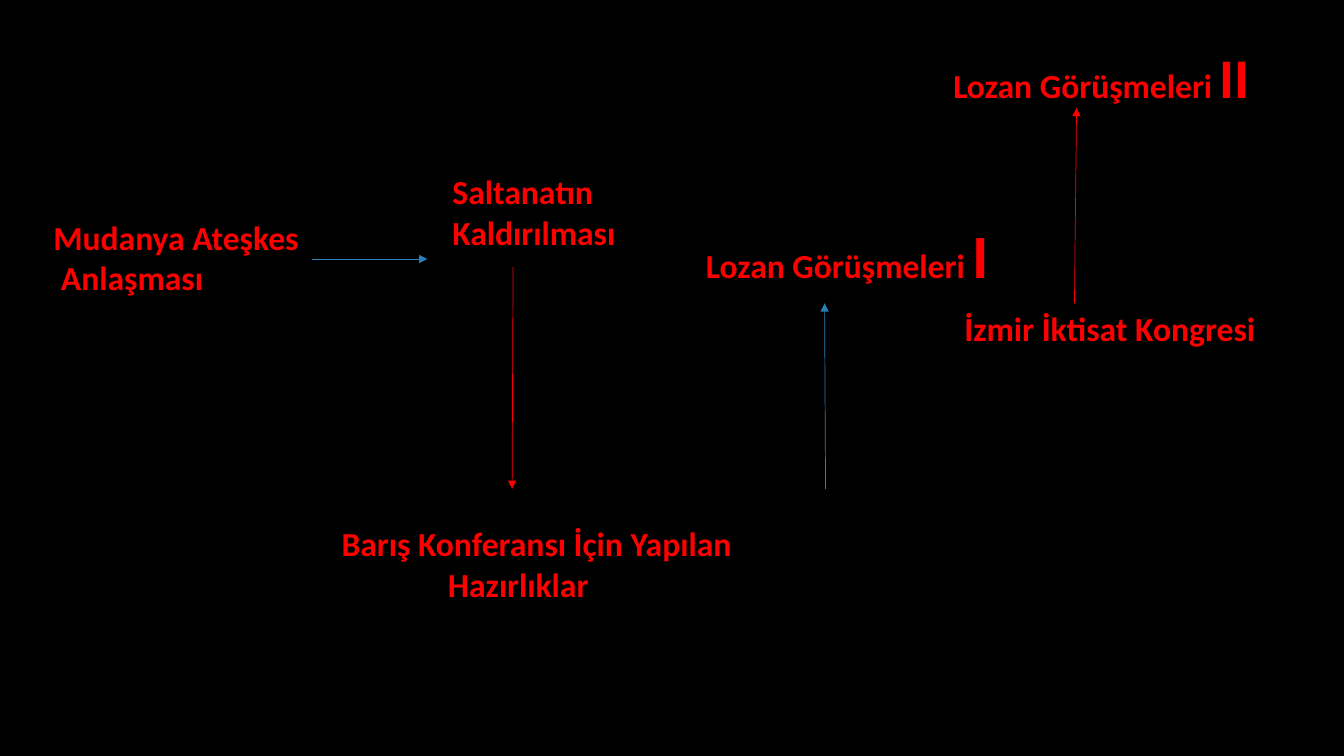
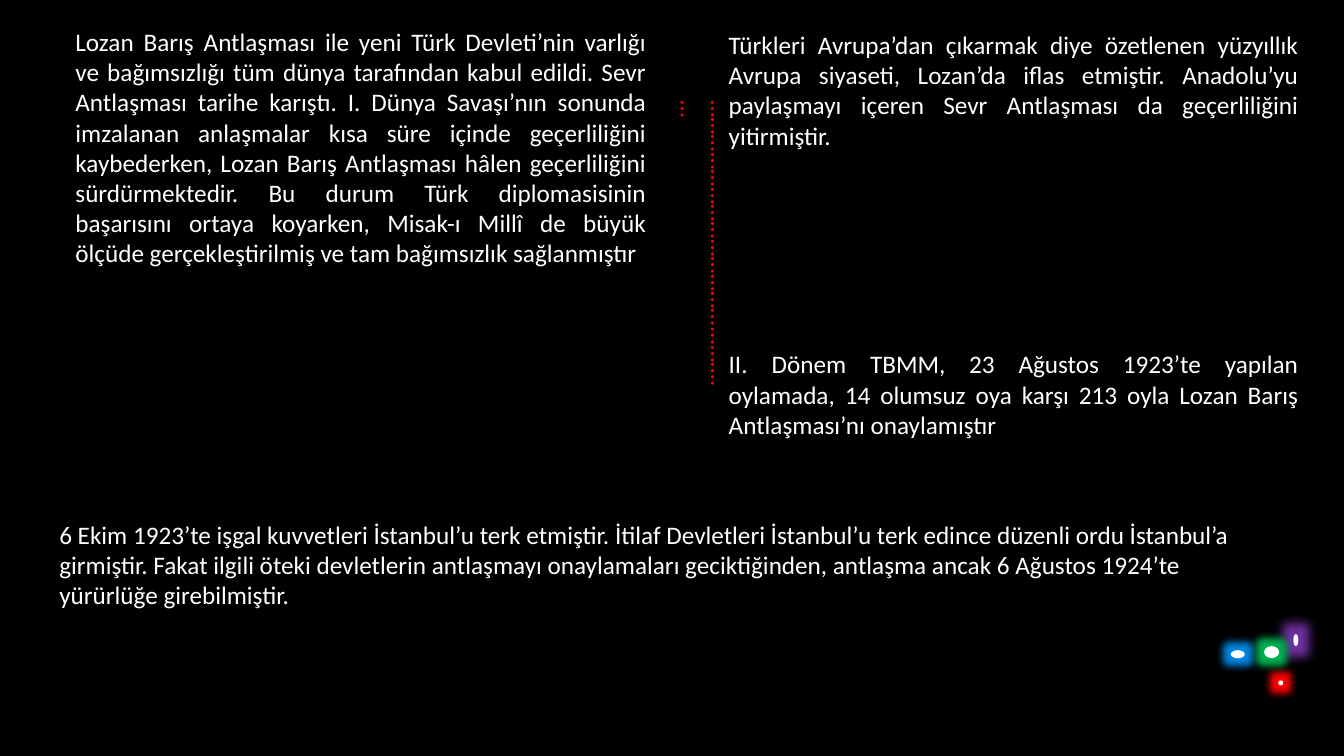
"""Build two slides on the road to the Lausanne treaty and its results."""
from lxml import etree
from pptx import Presentation, util as u
from pptx.dml.color import RGBColor
from pptx.enum import shapes, text
from pptx.oxml import ns

BLACK = RGBColor(0x00, 0x00, 0x00)
WHITE = RGBColor(0xFF, 0xFF, 0xFF)
RED = RGBColor(0xFF, 0x00, 0x00)
BLUE = RGBColor(0x29, 0x80, 0xB9)
GLOW_BLUE = RGBColor(0x00, 0x84, 0xE0)
GLOW_PURPLE = RGBColor(0x70, 0x30, 0xA0)
GLOW_GREEN = RGBColor(0x00, 0xB0, 0x50)
FONT = "Calibri"
LABEL_SIZE = 24
BODY_SIZE = 18

EVENTS = [
    ((31, 151.2, 196, 65.5), [(0, [("Mudanya Ateşkes", LABEL_SIZE)]),
                              (5.5, [("Anlaşması", LABEL_SIZE)])]),
    ((236.9, 370.1, 302, 65.5), [(0, [("Barış Konferansı İçin Yapılan", LABEL_SIZE)]),
                                 (76, [("Hazırlıklar", LABEL_SIZE)])]),
    ((316.1, 118.8, 144, 65.5), [(0, [("Saltanatın", LABEL_SIZE)]),
                                 (0, [("Kaldırılması", LABEL_SIZE)])]),
    ((681.8, 216.7, 236, 36), [(0, [("İzmir İktisat Kongresi", LABEL_SIZE)])]),
    ((497.2, 151.2, 230, 60.5), [(0, [("Lozan Görüşmeleri ", LABEL_SIZE), ("I", 44)])]),
    ((673.9, 26.6, 244, 55.5), [(0, [("Lozan Görüşmeleri ", LABEL_SIZE), ("II", 40)])]),
]

ARROWS = [
    ((223.2, 185), (305.3, 185), BLUE),
    ((366.5, 190.8), (365.8, 349.2), RED),
    ((589.7, 349.2), (589, 216.7), BLUE),
    ((767.5, 216.7), (769, 77), RED),
]

RESULTS = [
    ((46.8, 15.1, 421.9, 181.4), text.PP_ALIGN.JUSTIFY,
     "Lozan Barış Antlaşması ile yeni Türk Devleti’nin varlığı ve bağımsızlığı tüm dünya "
     "tarafından kabul edildi. Sevr Antlaşması tarihe karıştı. I. Dünya Savaşı’nın sonunda "
     "imzalanan anlaşmalar kısa süre içinde geçerliliğini kaybederken, Lozan Barış Antlaşması "
     "hâlen geçerliliğini sürdürmektedir. Bu durum Türk diplomasisinin başarısını ortaya "
     "koyarken, Misak-ı Millî de büyük ölçüde gerçekleştirilmiş ve tam bağımsızlık sağlanmıştır"),
    ((35.3, 367.2, 887.8, 72.7), text.PP_ALIGN.LEFT,
     "6 Ekim 1923’te işgal kuvvetleri İstanbul’u terk etmiştir. İtilaf Devletleri İstanbul’u "
     "terk edince düzenli ordu İstanbul’a girmiştir. Fakat ilgili öteki devletlerin antlaşmayı "
     "onaylamaları geciktiğinden, antlaşma ancak 6 Ağustos 1924’te yürürlüğe girebilmiştir."),
    ((513.4, 17.3, 421.2, 94.3), text.PP_ALIGN.JUSTIFY,
     "Türkleri Avrupa’dan çıkarmak diye özetlenen yüzyıllık Avrupa siyaseti, Lozan’da iflas "
     "etmiştir. Anadolu’yu paylaşmayı içeren Sevr Antlaşması da geçerliliğini yitirmiştir."),
    ((513.4, 245.5, 421.2, 72.7), text.PP_ALIGN.JUSTIFY,
     "II. Dönem TBMM, 23 Ağustos 1923’te yapılan oylamada, 14 olumsuz oya karşı 213 oyla "
     "Lozan Barış Antlaşması’nı onaylamıştır"),
]

LIGHTS = [
    ((913, 486, 3.6, 3.6), RED, 11),
    ((879.1, 464.4, 10.1, 5.8), GLOW_BLUE, 11),
    ((923.8, 452.9, 3.6, 8.6), GLOW_PURPLE, 15),
    ((902.9, 461.5, 10.8, 8.6), GLOW_GREEN, 11),
]


def in_points(lengths):
    """Turn plain numbers into point lengths."""
    return [u.Pt(length) for length in lengths]


def add_text(slide, place, paragraphs, color, bold=False, align=text.PP_ALIGN.LEFT):
    """Add a text box from (indent, [(wording, size)]) paragraphs and return it."""
    box = slide.shapes.add_textbox(*in_points(place))
    frame = box.text_frame
    frame.word_wrap = True
    frame.auto_size = text.MSO_AUTO_SIZE.SHAPE_TO_FIT_TEXT
    for index, (indent, runs) in enumerate(paragraphs):
        paragraph = frame.add_paragraph() if index else frame.paragraphs[0]
        paragraph.alignment = align
        if indent:
            paragraph._p.get_or_add_pPr().set("marL", str(u.Pt(indent)))
        for wording, size in runs:
            run = paragraph.add_run()
            run.text = wording
            run.font.name = FONT
            run.font.size = u.Pt(size)
            run.font.bold = bold
            run.font.color.rgb = color
    return box


def add_arrow(slide, start, end, color):
    """Add a thin straight arrow from start to end."""
    arrow = slide.shapes.add_connector(
        shapes.MSO_CONNECTOR.STRAIGHT, *in_points(start + end))
    arrow.line.color.rgb = color
    arrow.line.width = u.Pt(0.5)
    etree.SubElement(arrow.line._get_or_add_ln(), ns.qn("a:tailEnd"), type="triangle")
    etree.SubElement(arrow._element.spPr, ns.qn("a:effectLst"))


def add_light(slide, place, glow_color, radius):
    """Add a small white ellipse with a coloured glow."""
    light = slide.shapes.add_shape(shapes.MSO_SHAPE.OVAL, *in_points(place))
    light.fill.solid()
    light.fill.fore_color.rgb = WHITE
    light.line.fill.background()
    light.shadow.inherit = False
    effects = light._element.spPr.find(ns.qn("a:effectLst"))
    glow = etree.SubElement(effects, ns.qn("a:glow"), rad=str(u.Pt(radius)))
    etree.SubElement(glow, ns.qn("a:srgbClr"), val=str(glow_color))


def build_timeline(slide):
    """Fill the slide with the chain of events."""
    for start, end, color in ARROWS:
        add_arrow(slide, start, end, color)
    for place, paragraphs in EVENTS:
        add_text(slide, place, paragraphs, RED, bold=True)


def build_results(slide):
    """Fill the slide with the results of the treaty."""
    for place, glow_color, radius in LIGHTS:
        add_light(slide, place, glow_color, radius)
    for place, align, wording in RESULTS:
        add_text(slide, place, [(0, [(wording, BODY_SIZE)])], WHITE, align=align)
    divider = add_text(slide, (389.5, 153.4, 229, 51.1),
                       [(0, [("…………………………………...…….…", BODY_SIZE)])], RED)
    divider.rotation = 90


def main():
    """Build and save the presentation."""
    deck = Presentation()
    deck.slide_width, deck.slide_height = in_points((960, 540))
    backdrop = deck.slide_master.background.fill
    backdrop.solid()
    backdrop.fore_color.rgb = BLACK
    for build in (build_timeline, build_results):
        build(deck.slides.add_slide(deck.slide_layouts[6]))
    deck.save("out.pptx")


if __name__ == "__main__":
    main()
